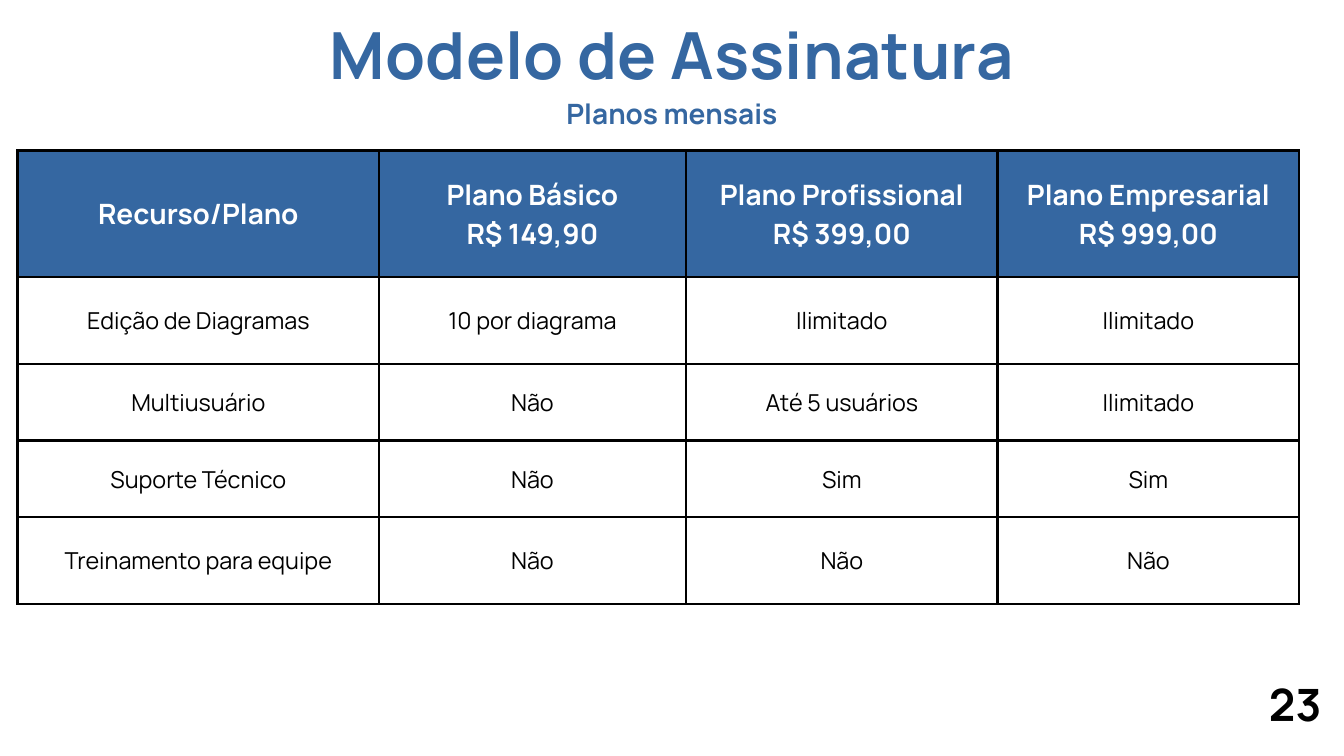
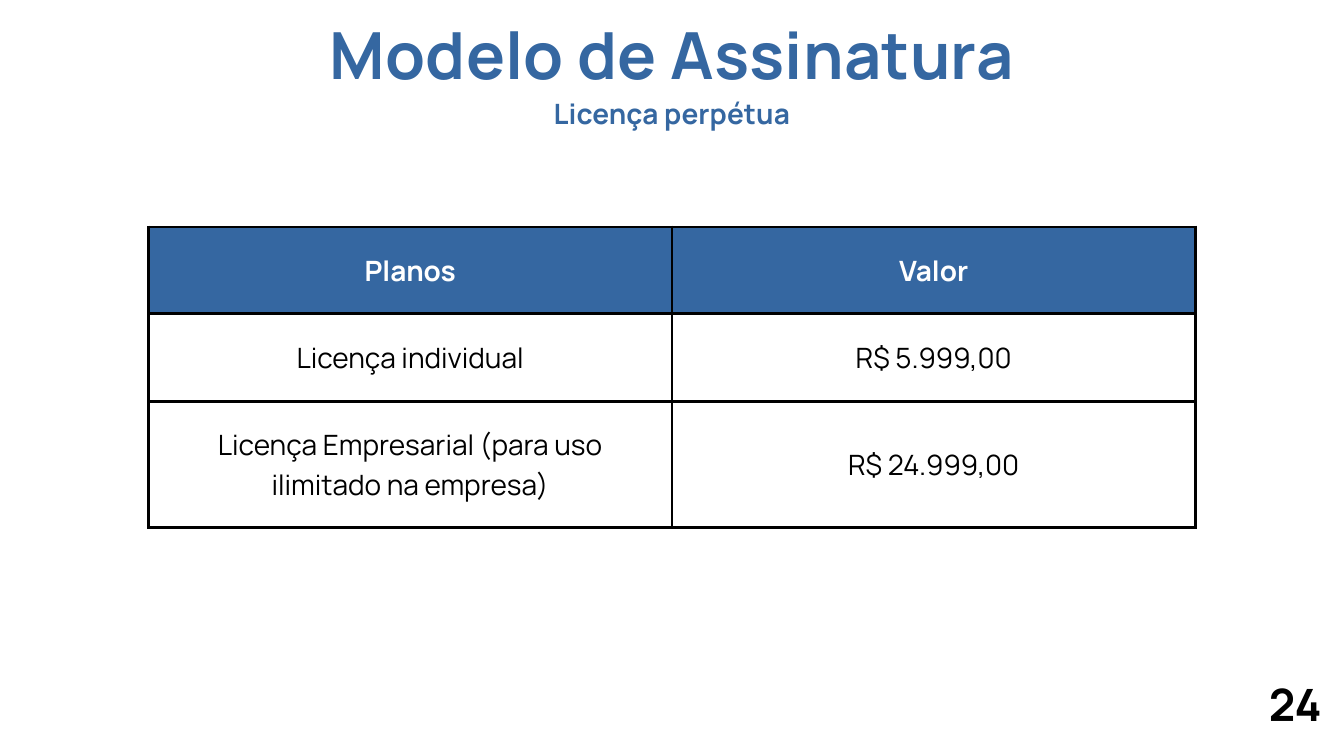
from pptx import Presentation
from pptx.dml.color import RGBColor
from pptx.enum.text import MSO_ANCHOR, MSO_AUTO_SIZE, PP_ALIGN
from pptx.oxml import parse_xml
from pptx.oxml.ns import nsdecls
from pptx.util import Pt

BLUE = RGBColor(0x35, 0x67, 0xA1)
BLACK = RGBColor(0, 0, 0)
WHITE = RGBColor(255, 255, 255)
FONT = "Manrope"
PAD = Pt(15)

PLANS = [
    ["Recurso/Plano", "Plano Básico\nR$ 149,90",
     "Plano Profissional\nR$ 399,00", "Plano Empresarial\nR$ 999,00"],
    ["Edição de Diagramas", "10 por diagrama", "Ilimitado", "Ilimitado"],
    ["Multiusuário", "Não", "Até 5 usuários", "Ilimitado"],
    ["Suporte Técnico", "Não", "Sim", "Sim"],
    ["Treinamento para equipe", "Não", "Não", "Não"],
]
PRICES = [
    ["Planos", "Valor"],
    ["Licença individual", "R$ 5.999,00"],
    ["Licença Empresarial (para uso ilimitado na empresa)", "R$ 24.999,00"],
]
PAGES = [
    ("23", "Planos mensais", PLANS, 19, 161,
     [387, 329, 334, 323], [136, 93, 82, 82, 93], 25),
    ("24", "Licença perpétua", PRICES, 159, 243,
     [561, 561], [93, 94, 135], 30),
]


def style(frame, size, color, lead, bold=True, align=PP_ALIGN.CENTER, gap=0):
    for para in frame.paragraphs:
        para.alignment = align
        para.line_spacing = Pt(lead)
        font = para.font
        font.name, font.size, font.bold = FONT, Pt(size), bold
        font.color.rgb = color
        if gap:
            font._rPr.set("spc", str(gap))


def write(shape, text, box, size, color, lead, align, gap):
    shape.left, shape.top, shape.width, shape.height = map(Pt, box)
    frame = shape.text_frame
    frame.text = text
    frame.word_wrap = True
    frame.auto_size = MSO_AUTO_SIZE.NONE
    frame.vertical_anchor = MSO_ANCHOR.TOP
    frame.margin_left = frame.margin_right = 0
    frame.margin_top = frame.margin_bottom = 0
    style(frame, size, color, lead, True, align, gap)


deck = Presentation()
deck.slide_width, deck.slide_height = Pt(1440), Pt(810)

for number, subtitle, rows, left, top, widths, heights, size in PAGES:
    slide = deck.slides.add_slide(deck.slide_layouts[5])
    write(slide.shapes.title, "Modelo de Assinatura", (298, 17, 845, 87),
          69.6, BLUE, 82.1, PP_ALIGN.CENTER, 30)
    write(slide.shapes.add_textbox(0, 0, 0, 0), subtitle, (393, 104, 654, 37),
          30, BLUE, 35.4, PP_ALIGN.CENTER, 10)
    write(slide.shapes.add_textbox(0, 0, 0, 0), number, (1359.5, 726, 66, 60),
          47.7, BLACK, 56.2, PP_ALIGN.LEFT, 20)

    table = slide.shapes.add_table(
        len(rows), len(widths), Pt(left), Pt(top),
        Pt(sum(widths)), Pt(sum(heights))).table
    table.horz_banding = False
    for column, width in zip(table.columns, widths):
        column.width = Pt(width)
    for r, (row, height) in enumerate(zip(rows, heights)):
        table.rows[r].height = Pt(height)
        for c, text in enumerate(row):
            cell = table.cell(r, c)
            cell.text = text
            cell.vertical_anchor = MSO_ANCHOR.MIDDLE
            cell.margin_left = cell.margin_right = PAD
            cell.margin_top = cell.margin_bottom = PAD
            for side in "LRTB":
                cell._tc.get_or_add_tcPr().append(parse_xml(
                    f'<a:ln{side} {nsdecls("a")} w="{Pt(3)}"><a:solidFill>'
                    f'<a:srgbClr val="{BLACK}"/></a:solidFill></a:ln{side}>'))
            if r == 0:
                cell.fill.solid()
                cell.fill.fore_color.rgb = BLUE
                style(cell.text_frame, 30, WHITE, 42)
            else:
                cell.fill.background()
                style(cell.text_frame, size, BLACK, size * 1.4, False)

deck.save("out.pptx")
